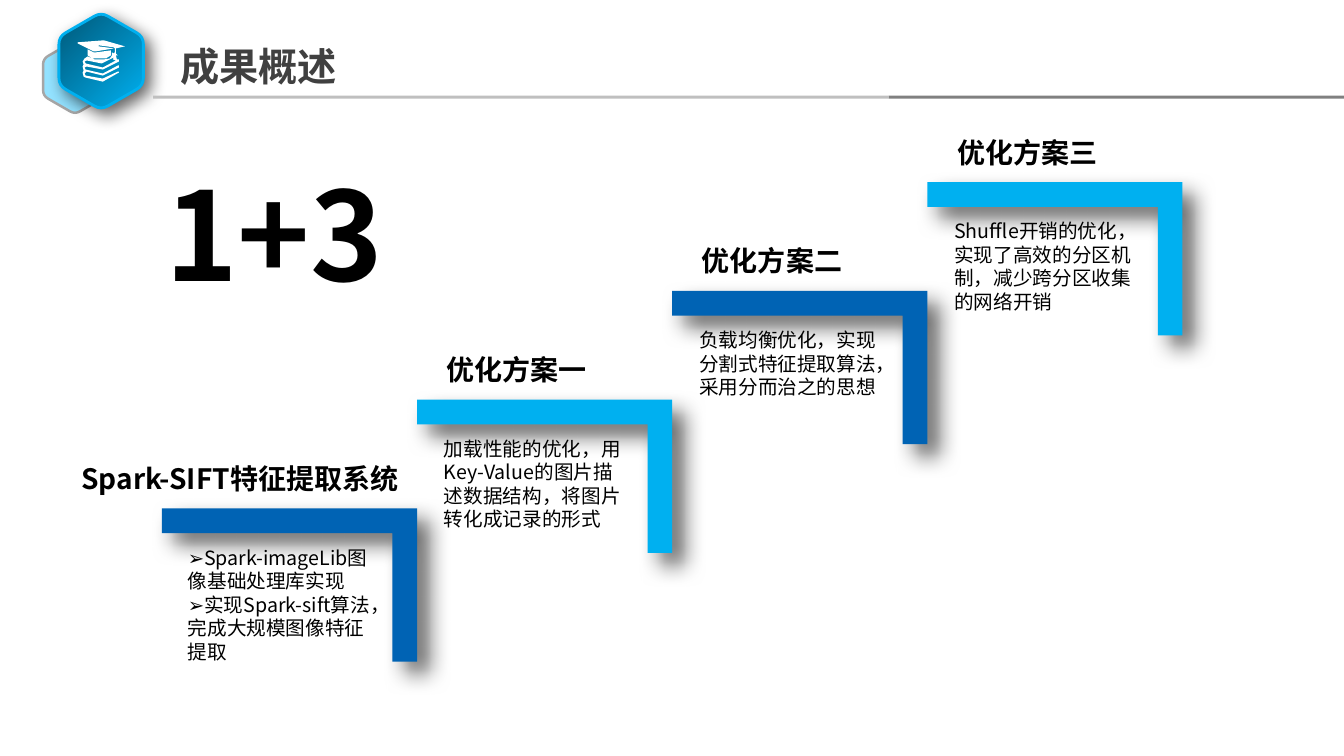
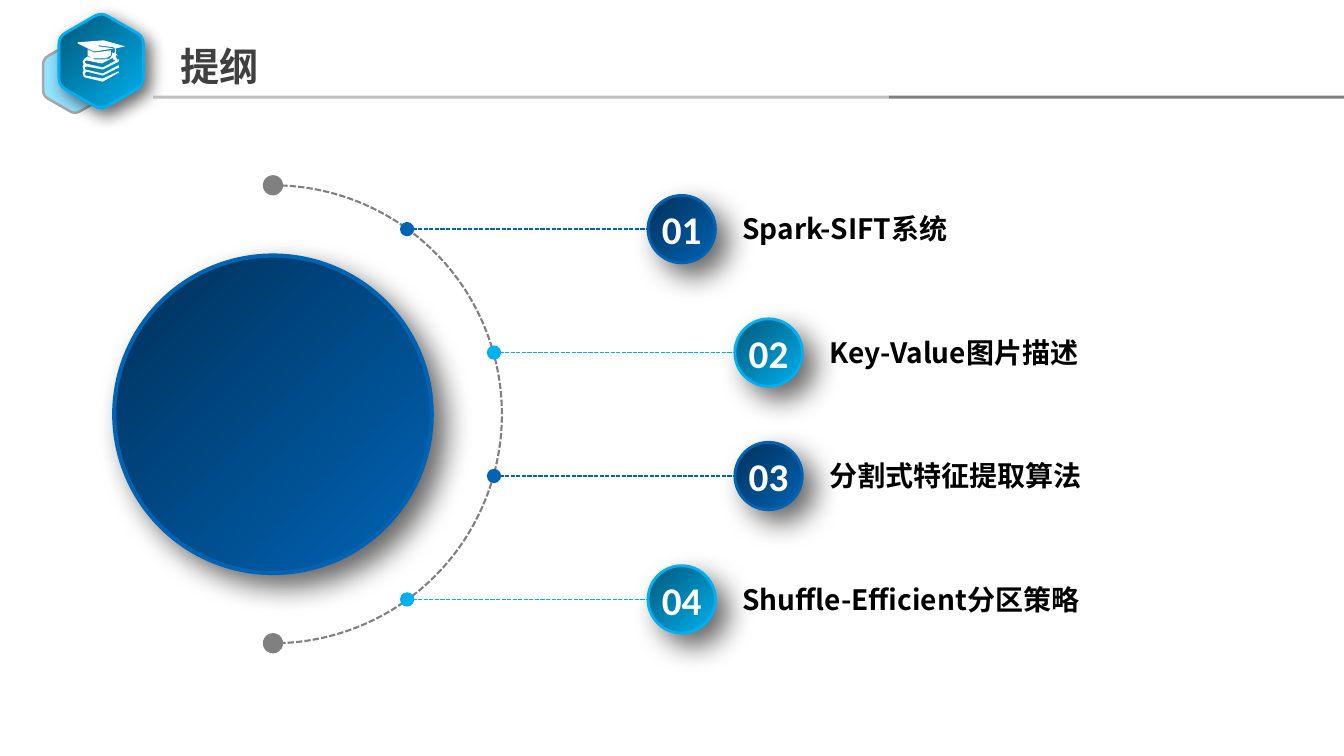
from math import cos, radians, sin

from lxml.etree import SubElement
from pptx import Presentation
from pptx.dml.color import RGBColor
from pptx.enum.dml import MSO_LINE
from pptx.enum.shapes import MSO_CONNECTOR, MSO_SHAPE
from pptx.enum.text import MSO_ANCHOR, MSO_AUTO_SIZE, PP_ALIGN
from pptx.oxml.ns import qn
from pptx.util import Cm, Pt

INK = {
    "black": "000000", "white": "FFFFFF", "title": "404040",
    "gray": "808080", "light": "BFBFBF", "edge": "A6A6A6",
    "blue": "0063B4", "navy": "00315A",
    "sky": "00B0F0", "teal": "005878", "pale": "93E2FF",
}
DEEP = {"blue": "navy", "sky": "teal"}
SANS = "Noto Sans CJK SC"
CAP = [
    [(102, 75), (118, 67), (118, 65), (117, 65), (102, 73), (85, 69),
     (84, 67), (86, 66), (102, 69), (118, 61), (118, 59), (116, 59),
     (115, 55), (117, 55), (115, 53), (115, 48), (124, 46), (103, 40),
     (77, 42), (77, 43), (83, 46), (93, 51), (95, 51), (113, 48),
     (98, 46), (98, 45), (113, 47), (114, 48), (114, 52), (113, 53),
     (111, 52), (111, 55), (109, 58), (103, 59), (94, 59), (87, 56),
     (84, 58), (82, 61), (83, 64), (82, 66), (83, 70), (82, 72),
     (83, 76), (85, 77), (102, 81), (118, 72), (118, 71), (117, 71),
     (102, 78), (85, 75), (84, 73), (86, 71)],
    [(110, 50), (110, 55), (105, 58), (92, 58), (87, 55), (87, 49),
     (93, 52), (95, 52)],
    [(115, 60), (102, 67), (85, 63), (84, 61), (86, 60), (101, 63),
     (113, 57), (112, 59)],
]


def tint(name):
    return RGBColor.from_string(INK[name])


def blend(a, b, t):
    return tuple(p + (q - p) * t for p, q in zip(a, b))


def round_hex(x, y, r):
    ends = [(x + r * sin(radians(a)), y - r * cos(radians(a)))
            for a in range(0, 360, 60)]
    spots = []
    for i, tip in enumerate(ends):
        start = blend(tip, ends[i - 1], 0.16)
        stop = blend(tip, ends[(i + 1) % 6], 0.16)
        for t in (0, 0.25, 0.5, 0.75, 1):
            spots.append(blend(blend(start, tip, t), blend(tip, stop, t), t))
    return [(Cm(p), Cm(q)) for p, q in spots]


class Deck:
    def __init__(self):
        self.show = Presentation()
        self.show.slide_width = Cm(33.87)
        self.show.slide_height = Cm(19.05)
        self.slide = None

    def page(self, title, layout):
        self.slide = self.show.slides.add_slide(self.show.slide_layouts[layout])
        self.place(self.slide.shapes.title, 4.29, 0.94, 10.85, 1.45)
        self.words(self.slide.shapes.title, [title], 28, "title", True,
                   anchor=MSO_ANCHOR.MIDDLE)
        self.form([round_hex(1.89, 1.95, 0.93)], "pale", edge="edge", width=1.75)
        badge = self.form([round_hex(2.55, 1.54, 1.23)], "sky", True, "sky", 2)
        self.shade(badge, 12, 6)
        self.shape(MSO_SHAPE.RECTANGLE, 22.4, 2.41, 11.47, 0.08, "gray")
        self.shape(MSO_SHAPE.RECTANGLE, 3.86, 2.41, 18.54, 0.08, "light")
        self.form(CAP, "white", scale=Cm(0.0254))

    def place(self, item, x, y, w, h):
        item.left, item.top, item.width, item.height = Cm(x), Cm(y), Cm(w), Cm(h)

    def paint(self, item, fill, grade=False, edge=None, width=1):
        item.shadow.inherit = False
        if grade:
            item.fill.gradient()
            item.fill.gradient_angle = 135
            for stop, name in zip(item.fill.gradient_stops, (fill, DEEP[fill])):
                stop.color.rgb = tint(name)
        elif fill:
            item.fill.solid()
            item.fill.fore_color.rgb = tint(fill)
        else:
            item.fill.background()
        if edge:
            item.line.color.rgb = tint(edge)
            item.line.width = Pt(width)
        else:
            item.line.fill.background()
        return item

    def shade(self, item, blur, far):
        host = item._element.spPr.find(qn("a:effectLst"))
        cast = SubElement(host, qn("a:outerShdw"), blurRad=str(Pt(blur)),
                          dist=str(Pt(far)), dir="2700000", algn="tl",
                          rotWithShape="0")
        hue = SubElement(cast, qn("a:srgbClr"), val=INK["black"])
        SubElement(hue, qn("a:alpha"), val="60000")

    def shape(self, kind, x, y, w, h, fill, *style):
        item = self.slide.shapes.add_shape(kind, Cm(x), Cm(y), Cm(w), Cm(h))
        return self.paint(item, fill, *style)

    def disc(self, x, y, size, fill, *style):
        return self.shape(MSO_SHAPE.OVAL, x - size / 2, y - size / 2,
                          size, size, fill, *style)

    def form(self, loops, fill, grade=False, edge=None, width=1, scale=1.0):
        pen = self.slide.shapes.build_freeform(*loops[0][0], scale=scale)
        for i, loop in enumerate(loops):
            if i:
                pen.move_to(*loop[0])
            pen.add_line_segments(loop[1:], close=True)
        return self.paint(pen.convert_to_shape(), fill, grade, edge, width)

    def line(self, x, y, end, hue):
        wire = self.slide.shapes.add_connector(
            MSO_CONNECTOR.STRAIGHT, Cm(x), Cm(y), Cm(end), Cm(y))
        wire.line.color.rgb = tint(hue)
        wire.line.width = Pt(1)
        wire.line.dash_style = MSO_LINE.SQUARE_DOT
        SubElement(wire._element.spPr, qn("a:effectLst"))

    def words(self, item, lines, size, hue="black", bold=False, font=SANS,
              align=PP_ALIGN.LEFT, anchor=MSO_ANCHOR.TOP):
        frame = item.text_frame
        frame.text = "\n".join(lines)
        frame.word_wrap = True
        frame.auto_size = MSO_AUTO_SIZE.NONE
        frame.vertical_anchor = anchor
        for para in frame.paragraphs:
            para.alignment = align
            para.space_before = Pt(0)
            for run in para.runs:
                face = run.font
                face.size, face.bold, face.name = Pt(size), bold, font
                face.color.rgb = tint(hue)
                SubElement(run._r.get_or_add_rPr(), qn("a:ea"), typeface=font)

    def text(self, x, y, w, h, words, size, bold=False):
        box = self.slide.shapes.add_textbox(Cm(x), Cm(y), Cm(w), Cm(h))
        self.words(box, [words], size, bold=bold)

    def list(self, x, y, w, h, lines, size):
        body = self.slide.placeholders[1]
        self.place(body, x, y, w, h)
        self.words(body, lines, size)
        for para in body.text_frame.paragraphs:
            props = para._p.get_or_add_pPr()
            props.set("marL", "0")
            props.set("indent", "0")
            SubElement(props, qn("a:buFont"), typeface=SANS)
            SubElement(props, qn("a:buChar"), char="➢")

    def stair(self, x, y, hue):
        step = self.shape(MSO_SHAPE.CORNER, x, y, 6.43, 3.86, hue)
        step.rotation = 180
        step.adjustments[0] = step.adjustments[1] = 0.161
        self.shade(step, 16, 12)

    def orb(self, x, y, size, hue, width):
        ball = self.disc(x, y, size, hue, True, hue, width)
        self.shade(ball, 20, 12)
        return ball


def results(deck):
    deck.page("成果概述", 1)
    steps = [
        ("Spark-SIFT特征提取系统",
         ["Spark-imageLib图像基础处理库实现",
          "实现Spark-sift算法，完成大规模图像特征提取"]),
        ("优化方案一",
         ["加载性能的优化，用Key-Value的图片描述数据结构，将图片转化成记录的形式"]),
        ("优化方案二", ["负载均衡优化，实现分割式特征提取算法，采用分而治之的思想"]),
        ("优化方案三",
         ["Shuffle开销的优化，实现了高效的分区机制，减少跨分区收集的网络开销"]),
    ]
    for i, (head, lines) in enumerate(steps):
        x, y = 4.08 + 6.43 * i, 12.81 - 2.74 * i
        deck.stair(x, y, ("blue", "sky")[i % 2])
        if i:
            deck.text(x + 0.5, y - 1.31, 5.92, 1.12, head, 20, True)
            deck.text(x + 0.43, y + 0.81, 5.18, 2.64, lines[0], 14)
        else:
            deck.text(1.8, y - 1.31, 8.61, 1.12, head, 20, True)
            deck.list(x + 0.4, y + 0.81, 5.18, 3.25, lines, 14)
    deck.text(3.91, 3.86, 6.76, 4.01, "1+3", 88, True)


def outline(deck):
    deck.page("提纲", 5)
    x, y, r = 6.88, 10.44, 5.77
    deck.orb(x, y, 8, "blue", 3)
    arc = deck.shape(MSO_SHAPE.ARC, x - r, y - r, 2 * r, 2 * r,
                     None, False, "gray", 1.5)
    arc.adjustments[0], arc.adjustments[1] = 162, 54
    arc.line.dash_style = MSO_LINE.SQUARE_DOT
    for end in (y - r, y + r):
        deck.disc(x, end, 0.51, "gray")
    parts = ["Spark-SIFT系统", "Key-Value图片描述", "分割式特征提取算法",
             "Shuffle-Efficient分区策略"]
    for i, part in enumerate(parts):
        left = 18.52 if i in (1, 2) else 16.33
        mid = y + 3.11 * (i - 1.5)
        hue = ("blue", "sky")[i % 2]
        deck.line(left - 6.07, mid, left, hue)
        deck.disc(left - 6.07, mid, 0.36, hue)
        ball = deck.orb(left + 0.85, mid, 1.7, hue, 2)
        frame = ball.text_frame
        frame.margin_left = frame.margin_right = Cm(0)
        frame.margin_top = frame.margin_bottom = Cm(0)
        deck.words(ball, [f"{i + 1:02}"], 28, "white", True, "Calibri",
                   PP_ALIGN.CENTER, MSO_ANCHOR.MIDDLE)
        deck.text(left + 2.13, mid - 0.56, 10.64, 1.12, part, 20, True)


def main():
    deck = Deck()
    results(deck)
    outline(deck)
    deck.show.save("out.pptx")


if __name__ == "__main__":
    main()
